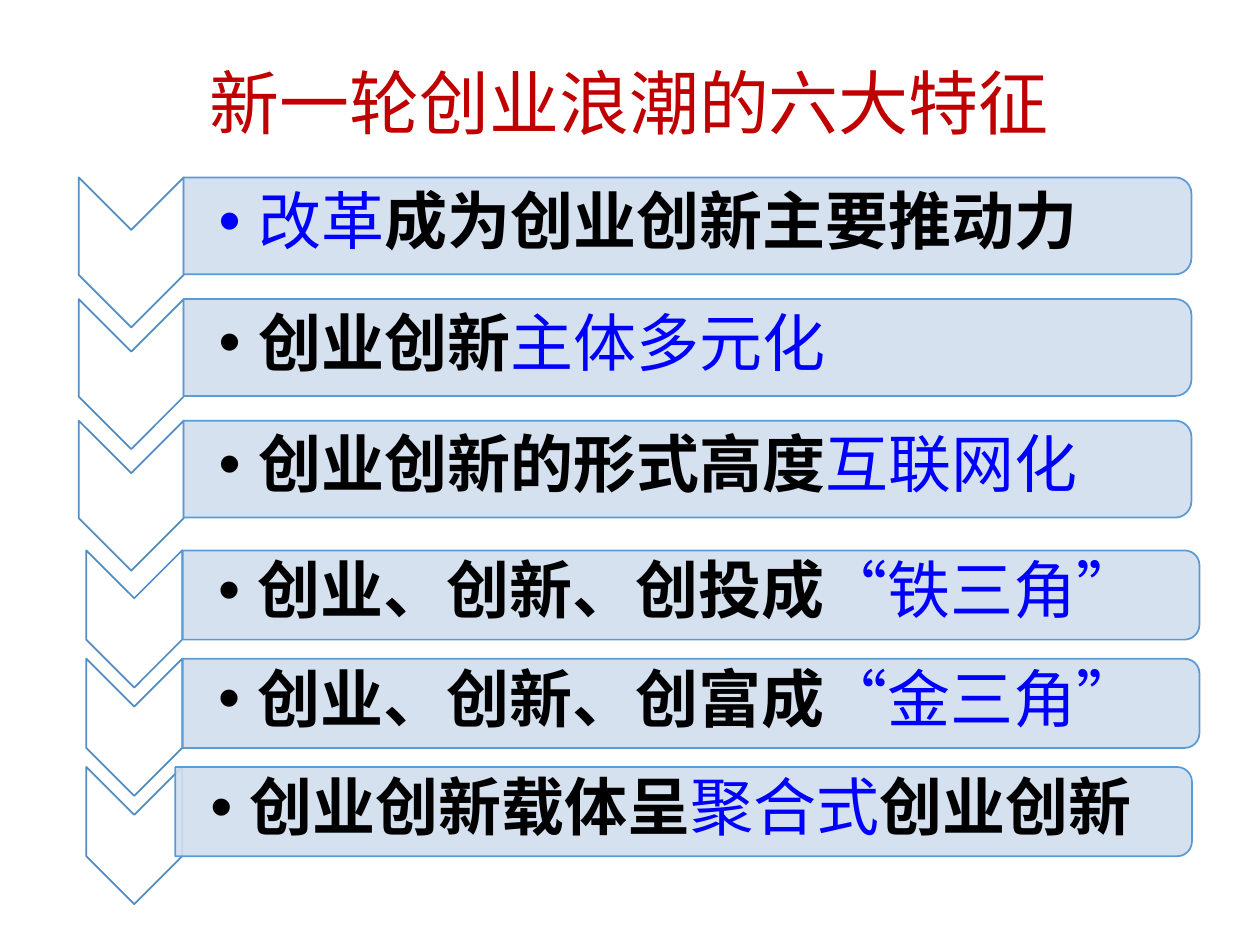
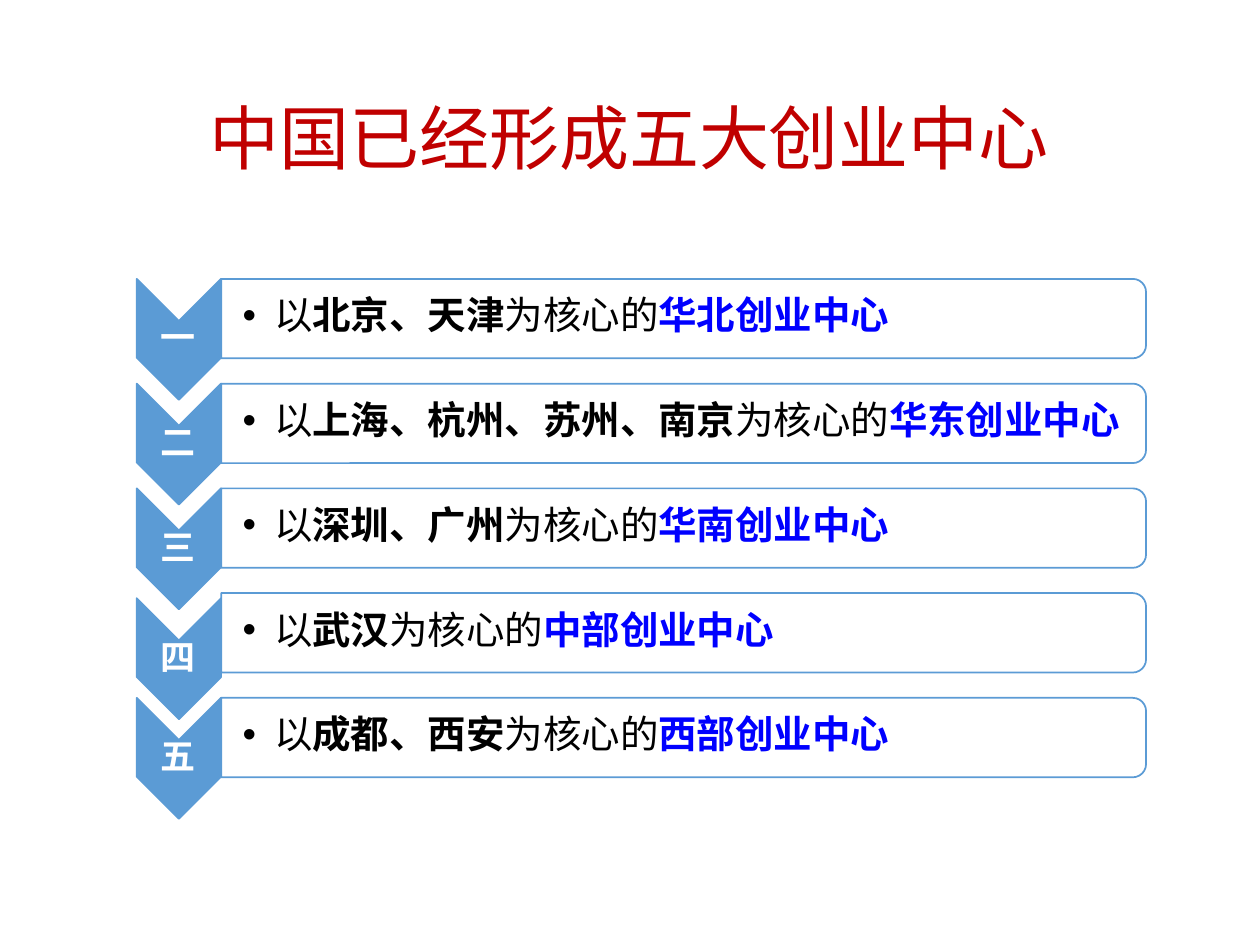
from lxml import etree
from pptx import Presentation
from pptx.dml.color import RGBColor
from pptx.enum import lang, shapes, text
from pptx.oxml import ns
from pptx.util import Pt

RED = RGBColor(0xC0, 0x00, 0x00)
BLUE = RGBColor(0x00, 0x00, 0xFF)
BLACK = RGBColor(0x00, 0x00, 0x00)
WHITE = RGBColor(0xFF, 0xFF, 0xFF)
PALE = RGBColor(0xD2, 0xDE, 0xEF)
STEEL = RGBColor(0x5B, 0x9B, 0xD5)
DARK_STEEL = RGBColor(0x53, 0x8D, 0xC1)
ARIAL, NOTO = "Arial", "Noto Sans CJK JP"

# Run styles: font, colour, bold
TITLE = (NOTO, RED, False)
STRONG = (ARIAL, BLACK, True)
PLAIN = (ARIAL, BLACK, False)
KEY = (NOTO, BLUE, False)
CENTER = (ARIAL, BLUE, True)
NUMERAL = (ARIAL, WHITE, True)


def add_turned(slide, preset, x, y, w, h, fill, line, opacity=100):
    """Add a shape turned by 90 degrees that covers the given area."""
    shape = slide.shapes.add_shape(
        preset, Pt(x + (w - h) / 2), Pt(y + (h - w) / 2), Pt(h), Pt(w))
    shape.rotation = 90
    shape.shadow.inherit = False
    shape.fill.solid()
    shape.fill.fore_color.rgb = fill
    shape.line.color.rgb = line
    shape.line.width = Pt(1)
    if opacity < 100:
        color = shape.fill._xPr.find(".//" + ns.qn("a:srgbClr"))
        etree.SubElement(color, ns.qn("a:alpha"), val=str(opacity * 1000))


def add_text(slide, x, y, w, h, runs, size, inset=0, indent=0):
    """Add one line of styled runs: bulleted with an indent, else centred."""
    frame = slide.shapes.add_textbox(Pt(x), Pt(y), Pt(w), Pt(h)).text_frame
    frame.word_wrap = True
    frame.vertical_anchor = text.MSO_ANCHOR.MIDDLE
    frame.margin_left = Pt(inset)
    frame.margin_right = frame.margin_top = frame.margin_bottom = Pt(1)
    line = frame.paragraphs[0]
    line.line_spacing = 0.9
    if indent:
        props = line._p.get_or_add_pPr()
        props.set("marL", str(Pt(indent)))
        props.set("indent", str(-Pt(indent)))
        etree.SubElement(props, ns.qn("a:buFont"), typeface=ARIAL)
        etree.SubElement(props, ns.qn("a:buChar"), char="•")
    else:
        line.alignment = text.PP_ALIGN.CENTER
    for words, (face, color, bold) in runs:
        run = line.add_run()
        run.text = words
        run.font.name = face
        run.font.size = Pt(size)
        run.font.bold = bold
        run.font.color.rgb = color
        run.font.language_id = lang.MSO_LANGUAGE_ID.SIMPLIFIED_CHINESE
        run.font._rPr.find(ns.qn("a:latin")).addnext(
            etree.Element(ns.qn("a:ea"), typeface=NOTO))


CHEVRON = shapes.MSO_SHAPE.CHEVRON
BAR = shapes.MSO_SHAPE.ROUND_2_SAME_RECTANGLE

deck = Presentation()
deck.slide_width, deck.slide_height = Pt(720), Pt(540)
features_slide = deck.slides.add_slide(deck.slide_layouts[6])
centers_slide = deck.slides.add_slide(deck.slide_layouts[6])

# Titles
for slide, title, top in ((features_slide, "新一轮创业浪潮的六大特征", 8.6),
                          (centers_slide, "中国已经形成五大创业中心", 28.8)):
    add_text(slide, 49.7, top, 620.6, 104.4, [(title, TITLE)], 40)

# Six features, in two blocks of three
first_features = [
    [("改革", KEY), ("成为创业创新主要推动力", STRONG)],
    [("创业创新", STRONG), ("主体多元化", KEY)],
    [("创业创新的形式高度", STRONG), ("互联网化", KEY)],
]
last_features = [
    [("创业、创新、创投成", STRONG), ("“铁三角”", KEY)],
    [("创业、创新、创富成", STRONG), ("“金三角”", KEY)],
    [("创业创新载体呈", STRONG), ("聚合式", KEY), ("创业创新", STRONG)],
]
# Each block: features, top, pitch, chevron x, w, h, then x, w, h of each bar
feature_blocks = [
    (first_features, 101.4, 69.5, (45, 60, 85.7), [(104.8, 576, 55.4)] * 3),
    (last_features, 314.5, 61.9, (49.3, 54.8, 78.4),
     [(104.4, 581, 51)] * 2 + [(100.1, 581, 51)]),
]
for features, top, pitch, (chevron_x, chevron_w, chevron_h), bars in feature_blocks:
    for row, (feature, (bar_x, bar_w, bar_h)) in enumerate(zip(features, bars)):
        y = top + row * pitch
        add_turned(features_slide, CHEVRON, chevron_x, y, chevron_w, chevron_h,
                   WHITE, DARK_STEEL)
        add_turned(features_slide, BAR, bar_x, y, bar_w, bar_h, PALE, STEEL, 90)
        add_text(features_slide, bar_x, y, bar_w, bar_h - 2, feature, 36, 20.2, 22.5)

# Five centers; the fourth chevron sits slightly lower than its bar
centers = [
    ("一", "北京、天津", "华北", 0),
    ("二", "上海、杭州、苏州、南京", "华东", 0),
    ("三", "深圳、广州", "华南", 0),
    ("四", "武汉", "中部", 2.9),
    ("五", "成都、西安", "西部", 0),
]
for row, (numeral, cities, region, drop) in enumerate(centers):
    y = 159.4 + row * 59.85
    chevron = (78.1, y + drop, 48.2, 69.1)
    add_turned(centers_slide, CHEVRON, *chevron, STEEL, STEEL)
    add_text(centers_slide, *chevron, [(numeral, NUMERAL)], 20)
    add_turned(centers_slide, BAR, 126.4, y, 528.5, 45.4, WHITE, STEEL, 90)
    add_text(centers_slide, 126.4, y, 528.5, 44,
             [("以", PLAIN), (cities, STRONG), ("为核心的", PLAIN),
              (region + "创业中心", CENTER)], 22, 12.3, 18)

deck.save("out.pptx")
